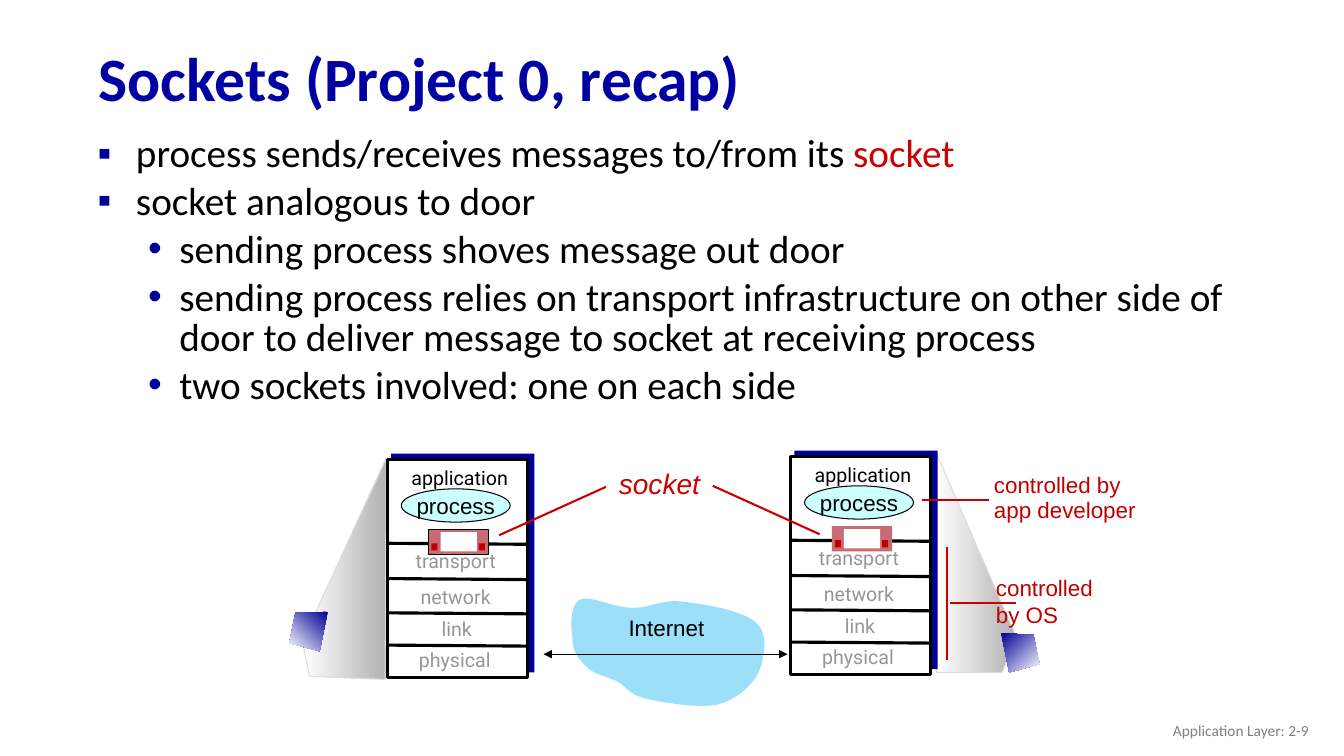
from dataclasses import dataclass

from lxml import etree
from pptx import Presentation
from pptx.dml.color import RGBColor
from pptx.enum.shapes import MSO_CONNECTOR, MSO_SHAPE
from pptx.enum.text import MSO_ANCHOR, PP_ALIGN
from pptx.oxml.ns import qn
from pptx.util import Inches, Pt

RECTANGLE, OVAL = MSO_SHAPE.RECTANGLE, MSO_SHAPE.OVAL
STRAIGHT = MSO_CONNECTOR.STRAIGHT
LEFT, CENTER, RIGHT = PP_ALIGN.LEFT, PP_ALIGN.CENTER, PP_ALIGN.RIGHT
TOP, MIDDLE = MSO_ANCHOR.TOP, MSO_ANCHOR.MIDDLE
BLACK, WHITE, GRAY, NAVY = "000000", "FFFFFF", "969696", "000099"
RED, DARK_RED, DOOR_PINK = "CC0000", "C00000", "C96B72"

Point = tuple[float, float]


@dataclass
class Style:
    size: float
    font: str = "Arial"
    color: str = BLACK
    align: PP_ALIGN = LEFT
    spacing: float = 1.0
    italic: bool = False
    bold: bool = False


@dataclass
class Bullet:
    text: str
    level: int = 0
    highlight: str = ""


@dataclass
class Layer:
    name: str
    left: float
    top: float
    color: str = GRAY


@dataclass
class Host:
    dx: float
    dy: float
    door_line: str


@dataclass
class Outline:
    points: list[Point]
    colors: tuple[str, str]
    angle: float
    line: str = ""


BULLETS = [
    Bullet("process sends/receives messages to/from its ", highlight="socket"),
    Bullet("socket analogous to door"),
    Bullet("sending process shoves message out door", 1),
    Bullet("sending process relies on transport infrastructure on other side of "
           "door to deliver message to socket at receiving process", 1),
    Bullet("two sockets involved: one on each side", 1),
]
MARKS = [("▪", 0.38, 0.38), ("•", 0.81, 0.31)]
LAYERS = [
    Layer("application", 3.84, 4.55, BLACK),
    Layer("transport", 3.8, 5.37),
    Layer("network", 3.8, 5.73),
    Layer("link", 3.81, 6.05),
    Layer("physical", 3.79, 6.36),
]
DIVIDERS = [5.39, 5.74, 6.08, 6.4]
HOSTS = [Host(0, 0, BLACK), Host(4, -0.03, "")]
BEAM_COLORS = (WHITE, "B2B2B2")
BEAMS = [
    Outline([(10.08, 6.32), (9.28, 4.48), (9.29, 6.67), (9.94, 6.67)], BEAM_COLORS, 0, "DDDDDD"),
    Outline([(3, 6.36), (3.83, 4.55), (3.82, 6.74), (3.07, 6.71)], BEAM_COLORS, 0, "DDDDDD"),
]
DEVICES = [
    Outline([(3.25, 6.07), (2.93, 6.08), (2.87, 6.38), (3.17, 6.46)], (NAVY, WHITE), 225),
    Outline([(9.93, 6.28), (10.25, 6.3), (10.31, 6.59), (10.01, 6.67)], (NAVY, WHITE), 315),
]
CLOUD_START = (5.68, 6.34)
CLOUD_CURVES = [
    ((5.66, 6.23), (5.65, 6), (5.75, 5.95)),
    ((5.85, 5.9), (6.09, 6.03), (6.26, 6.03)),
    ((6.43, 6.04), (6.56, 5.94), (6.77, 5.97)),
    ((6.98, 5.99), (7.38, 6.06), (7.5, 6.18)),
    ((7.63, 6.29), (7.58, 6.54), (7.52, 6.68)),
    ((7.45, 6.81), (7.3, 6.94), (7.12, 6.99)),
    ((6.93, 7.03), (6.57, 6.97), (6.4, 6.93)),
    ((6.24, 6.89), (6.21, 6.81), (6.12, 6.76)),
    ((6.02, 6.71), (5.89, 6.69), (5.82, 6.62)),
    ((5.75, 6.55), (5.67, 6.46), CLOUD_START),
]
CALLOUTS = [
    ((9.81, 4.96), (9.14, 4.96)),
    ((9.39, 5.43), (9.39, 6.55)),
    ((10.08, 5.98), (9.42, 5.98)),
    ((4.95, 5.31), (6.01, 4.83)),
    ((8.13, 5.3), (7.07, 4.82)),
]


def rgb(color: str) -> RGBColor:
    return RGBColor.from_string(color)


def format_text(frame, style: Style) -> None:
    for para in frame.paragraphs:
        para.alignment = style.align
        para.line_spacing = style.spacing
        for span in para.runs:
            span.font.name = style.font
            span.font.size = Pt(style.size)
            span.font.color.rgb = rgb(style.color)
            span.font.italic = style.italic
            span.font.bold = style.bold


def add_text(page, text: str, left: float, top: float, width: float, height: float,
             style: Style, wrap: bool = False, anchor: MSO_ANCHOR = TOP):
    box = page.shapes.add_textbox(Inches(left), Inches(top), Inches(width), Inches(height))
    frame = box.text_frame
    frame.word_wrap = wrap
    frame.vertical_anchor = anchor
    frame.text = text
    format_text(frame, style)
    return box


def set_line(shape, color: str, weight: float) -> None:
    if color:
        shape.line.color.rgb = rgb(color)
        shape.line.width = Pt(weight)
    else:
        shape.line.fill.background()


def add_block(page, kind, left: float, top: float, width: float, height: float,
              fill: str, line: str = "", weight: float = 0.75):
    shape = page.shapes.add_shape(kind, Inches(left), Inches(top), Inches(width), Inches(height))
    shape.shadow.inherit = False
    shape.fill.solid()
    shape.fill.fore_color.rgb = rgb(fill)
    set_line(shape, line, weight)
    return shape


def add_line(page, start: Point, end: Point, color: str, weight: float, arrows: bool = False) -> None:
    ends = [Inches(value) for value in (*start, *end)]
    line = page.shapes.add_connector(STRAIGHT, *ends)
    set_line(line, color, weight)
    if arrows:
        stroke = line.line._get_or_add_ln()
        for tag in ("a:headEnd", "a:tailEnd"):
            etree.SubElement(stroke, qn(tag), type="triangle")
    etree.SubElement(line._element.spPr, qn("a:effectLst"))


def add_freeform(page, points: list[Point], line: str = ""):
    corners = [(Inches(x), Inches(y)) for x, y in points]
    builder = page.shapes.build_freeform(*corners[0])
    builder.add_line_segments(corners[1:], close=True)
    shape = builder.convert_to_shape()
    shape.shadow.inherit = False
    set_line(shape, line, 0.75)
    return shape


def add_outline(page, outline: Outline) -> None:
    shape = add_freeform(page, outline.points, outline.line)
    shape.fill.gradient()
    shape.fill.gradient_angle = outline.angle
    for stop, color in zip(shape.fill.gradient_stops, outline.colors):
        stop.color.rgb = rgb(color)


def add_cloud(page) -> None:
    points = [CLOUD_START, *(point for curve in CLOUD_CURVES for point in curve)]
    cloud = add_freeform(page, points)
    cloud.fill.solid()
    cloud.fill.fore_color.rgb = rgb("9CDFF9")
    segments = list(cloud._element.iter(qn("a:lnTo")))
    for first in range(0, len(segments), 3):
        curve = etree.Element(qn("a:cubicBezTo"))
        segments[first].addprevious(curve)
        for segment in segments[first:first + 3]:
            curve.append(segment[0])
            segment.getparent().remove(segment)


def add_bullets(page) -> None:
    text = "\n".join(bullet.text for bullet in BULLETS)
    frame = add_text(page, text, 0.87, 1.3, 11.99, 2.55, Style(28, "Calibri", spacing=0.85), True).text_frame
    for index, (para, bullet) in enumerate(zip(frame.paragraphs, BULLETS)):
        mark, margin, hanging = MARKS[bullet.level]
        para.level = bullet.level
        para.space_before = Pt(5.6 if index else 0)
        props = para._p.get_or_add_pPr()
        props.set("marL", str(Inches(margin)))
        props.set("indent", str(-Inches(hanging)))
        etree.SubElement(etree.SubElement(props, qn("a:buClr")), qn("a:srgbClr"), val=NAVY)
        etree.SubElement(props, qn("a:buFont"), typeface="Arial")
        etree.SubElement(props, qn("a:buChar"), char=mark)
        if bullet.highlight:
            span = para.add_run()
            span.text = bullet.highlight
            span.font.name, span.font.size = "Calibri", Pt(28)
            span.font.color.rgb = rgb(RED)


def add_host(page, host: Host) -> None:
    dx, dy = host.dx, host.dy
    add_block(page, RECTANGLE, 3.88 + dx, 4.5 + dy, 1.42, 2.17, NAVY)
    add_block(page, RECTANGLE, 3.84 + dx, 4.56 + dy, 1.39, 2.16, WHITE, BLACK, 2.25)
    for y in DIVIDERS:
        add_line(page, (3.85 + dx, y + dy), (5.23 + dx, y + dy + 0.01), BLACK, 2.25)
    for layer in LAYERS:
        style = Style(14, "Roboto", layer.color, CENTER, 1.1)
        add_text(page, layer.name, layer.left + dx, layer.top + dy, 1.44, 0.36, style, True)
    process = add_block(page, OVAL, 3.98 + dx, 4.85 + dy, 1.08, 0.33, "CCFFFF", BLACK)
    process.text_frame.word_wrap = False
    process.text_frame.vertical_anchor = MIDDLE
    process.text_frame.text = "process"
    format_text(process.text_frame, Style(16, align=CENTER))
    add_block(page, RECTANGLE, 4.25 + dx, 5.25 + dy, 0.6, 0.25, DOOR_PINK, host.door_line)
    add_block(page, RECTANGLE, 4.37 + dx, 5.28 + dy, 0.36, 0.19, WHITE)
    for knob in (4.28, 4.75):
        add_block(page, RECTANGLE, knob + dx, 5.39 + dy, 0.06, 0.07, DARK_RED)


def main() -> None:
    deck = Presentation()
    deck.slide_width, deck.slide_height = Inches(13.33), Inches(7.5)
    page = deck.slides.add_slide(deck.slide_layouts[5])
    title = page.shapes.title
    title.left, title.top, title.width, title.height = (Inches(v) for v in (0.88, 0.32, 11.5, 0.98))
    title.text_frame.text = "Sockets (Project 0, recap)"
    title.text_frame.vertical_anchor = MIDDLE
    format_text(title.text_frame, Style(44, "Calibri", "0000A3", spacing=0.9, bold=True))
    add_bullets(page)
    for beam in BEAMS:
        add_outline(page, beam)
    add_cloud(page)
    add_text(page, "Internet", 6.13, 6.04, 0.96, 0.37, Style(16, align=CENTER))
    add_line(page, (5.39, 6.49), (7.81, 6.49), BLACK, 0.75, True)
    add_text(page, "controlled\nby OS", 9.78, 5.65, 1.16, 0.9, Style(16, color=DARK_RED))
    add_text(page, "controlled by\napp developer", 9.76, 4.66, 1.61, 0.58,
             Style(16, color=DARK_RED, spacing=0.9))
    for host in HOSTS:
        add_host(page, host)
    for start, end in CALLOUTS:
        add_line(page, start, end, RED, 1.5)
    add_text(page, "socket", 6.04, 4.62, 1.04, 0.4, Style(20, color=RED, spacing=0.9, italic=True))
    for device in DEVICES:
        add_outline(page, device)
    add_text(page, "Application Layer: 2-9", 10.08, 7.05, 3, 0.4,
             Style(11, "Calibri", "808080", RIGHT), True, MIDDLE)
    deck.save("out.pptx")


if __name__ == "__main__":
    main()
